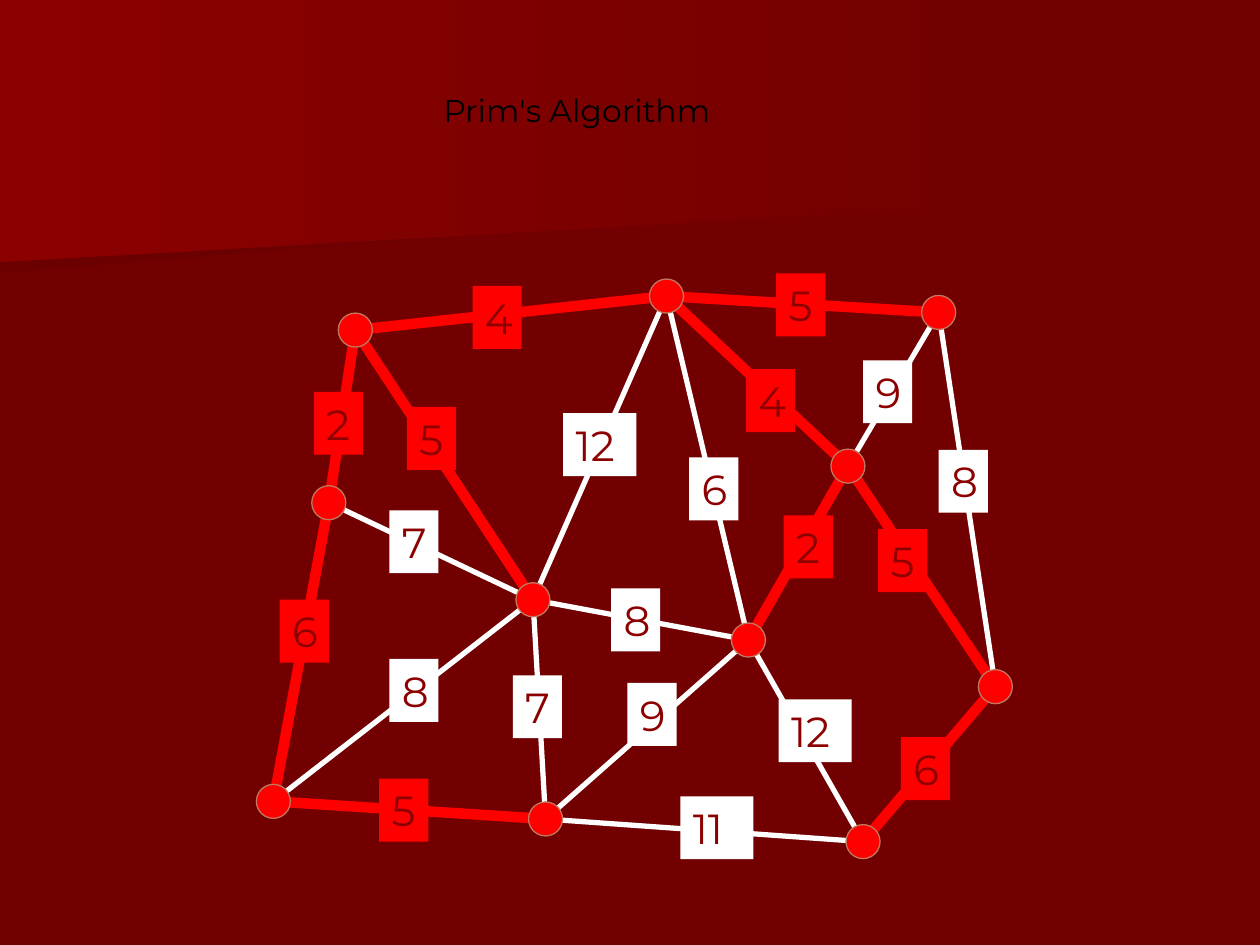
from dataclasses import dataclass
from lxml.etree import SubElement
from pptx import Presentation
from pptx.dml.color import RGBColor
from pptx.enum.shapes import MSO_CONNECTOR, MSO_SHAPE
from pptx.enum.text import MSO_ANCHOR, MSO_AUTO_SIZE, PP_ALIGN
from pptx.oxml.ns import qn
from pptx.util import Inches, Pt


@dataclass(frozen=True)
class Theme:
    font: str = "Montserrat"
    back: str = "720000"
    shade: str = "6B0000"
    glow: str = "8C0000"
    tree: str = "FF0000"
    plain: str = "FFFFFF"
    rim: str = "BE7960"
    title: str = "000000"
    head: int = 18
    label: int = 24


def color(code):
    return RGBColor.from_string(code)


def write(frame, text, size, ink, font, grow=False):
    frame.word_wrap = False
    frame.auto_size = MSO_AUTO_SIZE.SHAPE_TO_FIT_TEXT if grow else MSO_AUTO_SIZE.NONE
    frame.vertical_anchor = MSO_ANCHOR.TOP
    para = frame.paragraphs[0]
    para.alignment = PP_ALIGN.LEFT
    run = para.add_run()
    run.text = text
    run.font.size = Pt(size)
    run.font.name = font
    run.font.color.rgb = color(ink)


class Painter:
    def __init__(self, slide, theme):
        self.slide, self.theme = slide, theme
        slide.background.fill.solid()
        slide.background.fill.fore_color.rgb = color(theme.back)

    def shape(self, kind, box, fill):
        shape = self.slide.shapes.add_shape(kind, *map(Inches, box))
        shape.shadow.inherit = False
        shape.fill.solid()
        shape.fill.fore_color.rgb = color(fill)
        shape.line.fill.background()
        return shape

    def band(self, points, start):
        first, *rest = [(Inches(x), Inches(y)) for x, y in points]
        path = self.slide.shapes.build_freeform(*first)
        path.add_line_segments(rest)
        shape = path.convert_to_shape()
        shape.shadow.inherit = False
        shape.line.fill.background()
        shape.fill.gradient()
        shape.fill.gradient_angle = 0
        for stop, code in zip(shape.fill.gradient_stops, (start, self.theme.back)):
            stop.color.rgb = color(code)

    def edge(self, start, end, tree):
        ends = map(Inches, (*start, *end))
        line = self.slide.shapes.add_connector(MSO_CONNECTOR.STRAIGHT, *ends)
        line.line.color.rgb = color(self.theme.tree if tree else self.theme.plain)
        line.line.width = Pt(6 if tree else 3)
        SubElement(line._element.spPr, qn("a:effectLst"))

    def node(self, center, size=0.27):
        x, y = center
        box = (x - size / 2, y - size / 2, size, size)
        dot = self.shape(MSO_SHAPE.OVAL, box, self.theme.tree)
        dot.line.color.rgb = color(self.theme.rim)
        dot.line.width = Pt(0.75)

    def weight(self, text, spot, tree):
        theme = self.theme
        box = (*spot, 0.39 if len(text) == 1 else 0.58, 0.5)
        tag = self.shape(MSO_SHAPE.RECTANGLE, box, theme.tree if tree else theme.plain)
        write(tag.text_frame, text, size=theme.label, ink=theme.glow,
              font=theme.font, grow=True)

    def title(self, text, box):
        theme = self.theme
        area = self.slide.shapes.add_textbox(*map(Inches, box))
        write(area.text_frame, text, size=theme.head, ink=theme.title, font=theme.font)


NODES = {
    "west": (2.61, 3.99),
    "northwest": (2.82, 2.62),
    "southeast": (6.85, 6.68),
    "east": (7.9, 5.45),
    "northeast": (7.45, 2.48),
    "center": (4.23, 4.76),
    "south": (4.33, 6.5),
    "right": (6.73, 3.7),
    "middle": (5.94, 5.08),
    "southwest": (2.17, 6.36),
    "north": (5.29, 2.35),
}

EDGES = [
    ("south", "center", "7", (4.07, 5.36), False),
    ("middle", "right", "2", (6.22, 4.09), True),
    ("southwest", "west", "6", (2.22, 4.76), True),
    ("center", "northwest", "5", (3.23, 3.23), True),
    ("southeast", "middle", "12", (6.18, 5.55), False),
    ("northeast", "north", "5", (6.16, 2.17), True),
    ("east", "right", "5", (6.97, 4.2), True),
    ("south", "southeast", "11", (5.4, 6.32), False),
    ("south", "middle", "9", (4.98, 5.42), False),
    ("center", "west", "7", (3.09, 4.05), False),
    ("west", "northwest", "2", (2.49, 3.11), True),
    ("southeast", "east", "6", (7.15, 5.85), True),
    ("north", "center", "12", (4.47, 3.28), False),
    ("southwest", "south", "5", (3.01, 6.18), True),
    ("middle", "center", "8", (4.85, 4.67), False),
    ("right", "north", "4", (5.92, 2.93), True),
    ("right", "northeast", "9", (6.85, 2.86), False),
    ("northwest", "north", "4", (3.75, 2.27), True),
    ("southwest", "center", "8", (3.09, 5.23), False),
    ("middle", "north", "6", (5.47, 3.63), False),
    ("east", "northeast", "8", (7.45, 3.57), False),
]


def main():
    deck = Presentation()
    deck.slide_width, deck.slide_height = Inches(10), Inches(7.5)
    theme = Theme()
    paint = Painter(deck.slides.add_slide(deck.slide_layouts[6]), theme)

    paint.band([(7.78, 1.53), (0, 2.17), (0, 1.01), (7.79, 1.01)], theme.shade)
    paint.band([(7.92, 1.62), (0, 2.08), (0, 0), (7.92, 0)], theme.glow)
    for start, end, _, _, tree in EDGES:
        paint.edge(NODES[start], NODES[end], tree)
    for center in NODES.values():
        paint.node(center)
    for _, _, text, spot, tree in EDGES:
        paint.weight(text, spot, tree)
    paint.title("Prim's Algorithm", (3.42, 0.67, 3.08, 0.58))

    deck.save("out.pptx")


if __name__ == "__main__":
    main()
